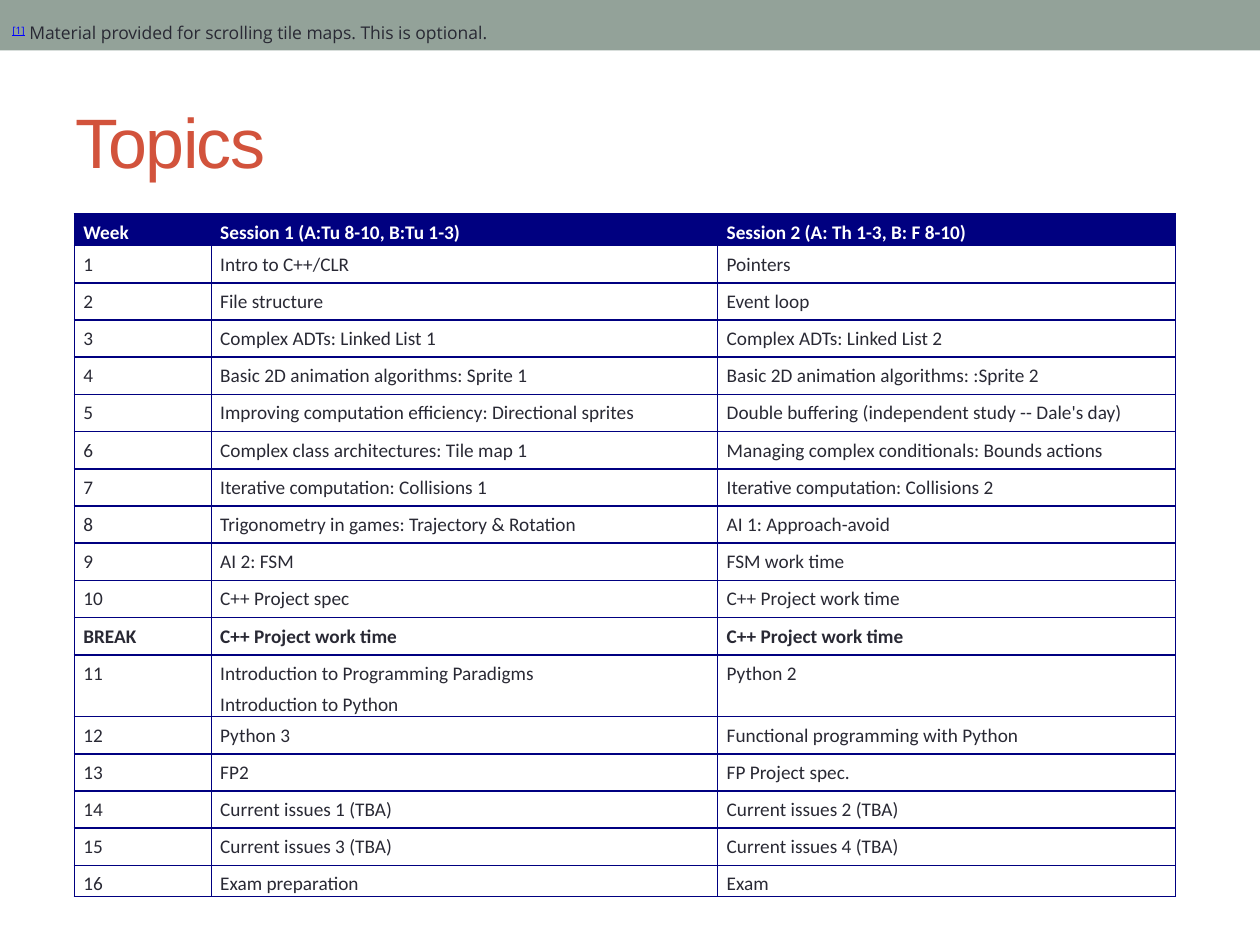
from dataclasses import dataclass

from lxml.etree import SubElement
from pptx import Presentation
from pptx.dml.color import RGBColor as RGB
from pptx.enum.shapes import MSO_SHAPE as SHAPE
from pptx.enum.text import MSO_ANCHOR as ANCHOR, PP_ALIGN as ALIGN
from pptx.oxml.ns import qn
from pptx.util import Cm, Pt


@dataclass(frozen=True)
class Theme:
    band: str = "93A299"
    title: str = "D2533C"
    navy: str = "000080"
    white: str = "FFFFFF"
    ink: str = "292934"
    link: str = "0000FF"
    title_size: int = 40
    table_size: int = 11
    note_size: int = 10


theme = Theme()


def style(span, font, size, color, bold=False):
    span.font.name = font
    span.font.size = Pt(size)
    span.font.bold = bold
    span.font.color.rgb = RGB.from_string(color)


def add_borders(cell, color):
    props = cell._tc.get_or_add_tcPr()
    for edge in ("lnL", "lnR", "lnT", "lnB"):
        line = SubElement(props, qn(f"a:{edge}"), w=str(Pt(1)))
        fill = SubElement(line, qn("a:solidFill"))
        SubElement(fill, qn("a:srgbClr"), val=color)


topics = [
    ("Week", "Session 1 (A:Tu 8-10, B:Tu 1-3)", "Session 2 (A: Th 1-3, B: F 8-10)"),
    ("1", "Intro to C++/CLR", "Pointers"),
    ("2", "File structure", "Event loop"),
    ("3", "Complex ADTs: Linked List 1", "Complex ADTs: Linked List 2"),
    ("4", "Basic 2D animation algorithms: Sprite 1", "Basic 2D animation algorithms: :Sprite 2"),
    ("5", "Improving computation efficiency: Directional sprites",
     "Double buffering (independent study -- Dale's day)"),
    ("6", "Complex class architectures: Tile map 1", "Managing complex conditionals: Bounds actions"),
    ("7", "Iterative computation: Collisions 1", "Iterative computation: Collisions 2"),
    ("8", "Trigonometry in games: Trajectory & Rotation", "AI 1: Approach-avoid"),
    ("9", "AI 2: FSM", "FSM work time"),
    ("10", "C++ Project spec", "C++ Project work time"),
    ("BREAK", "C++ Project work time", "C++ Project work time"),
    ("11", "Introduction to Programming Paradigms\nIntroduction to Python", "Python 2"),
    ("12", "Python 3", "Functional programming with Python"),
    ("13", "FP2", "FP Project spec."),
    ("14", "Current issues 1 (TBA)", "Current issues 2 (TBA)"),
    ("15", "Current issues 3 (TBA)", "Current issues 4 (TBA)"),
    ("16", "Exam preparation", "Exam"),
]

deck = Presentation()
deck.slide_width, deck.slide_height = Cm(25.4), Cm(19.05)
page = deck.slides.add_slide(deck.slide_layouts[5])

# Band across the top
band = page.shapes.add_shape(SHAPE.RECTANGLE, 0, 0, deck.slide_width, Cm(1.02))
band.shadow.inherit = False
band.fill.solid()
band.fill.fore_color.rgb = RGB.from_string(theme.band)
band.line.fill.background()

# Title
title = page.shapes.title
title.left, title.top, title.width, title.height = Cm(1.27), Cm(1.47), Cm(22.86), Cm(2.74)
title.text_frame.text = "Topics"
title.text_frame.vertical_anchor = ANCHOR.MIDDLE
para = title.text_frame.paragraphs[0]
para.alignment = ALIGN.LEFT
span = para.runs[0]
style(span, "Arial", theme.title_size, theme.title)
span.font._element.set("spc", "-100")

# Table of weekly topics
frame = page.shapes.add_table(len(topics), 3, Cm(1.5), Cm(4.31), Cm(22.2), Cm(13.72))
table = frame.table
for column, width in zip(table.columns, (2.76, 10.21, 9.23)):
    column.width = Cm(width)
special_heights = {"Week": 0.64, "11": 1.14, "16": 0.56}

for row, texts in zip(table.rows, topics):
    week = texts[0]
    is_header = week == "Week"
    row.height = Cm(special_heights.get(week, 0.75))
    for cell, text in zip(row.cells, texts):
        cell.margin_left = cell.margin_right = Cm(0.18)
        cell.margin_top = cell.margin_bottom = 0
        add_borders(cell, theme.navy)
        if is_header:
            cell.fill.solid()
            cell.fill.fore_color.rgb = RGB.from_string(theme.navy)
        else:
            cell.fill.background()
        cell.text_frame.text = text
        for para in cell.text_frame.paragraphs:
            para.line_spacing = 1.3
            style(para.runs[0], "Calibri", theme.table_size,
                  theme.white if is_header else theme.ink,
                  bold=week in ("Week", "BREAK"))

# Footnote on the band
note = page.shapes.add_textbox(0, Cm(0.03), deck.slide_width, Cm(1.27))
note.text_frame.word_wrap = True
note.text_frame.vertical_anchor = ANCHOR.MIDDLE
para = note.text_frame.paragraphs[0]
mark, remark = para.add_run(), para.add_run()
mark.text = "[1]"
remark.text = " Material provided for scrolling tile maps. This is optional."
style(mark, "Open Sans", theme.note_size, theme.link)
style(remark, "Open Sans", theme.note_size, theme.ink)
mark.font.underline = True
mark.font._element.set("baseline", "30000")

deck.save("out.pptx")
